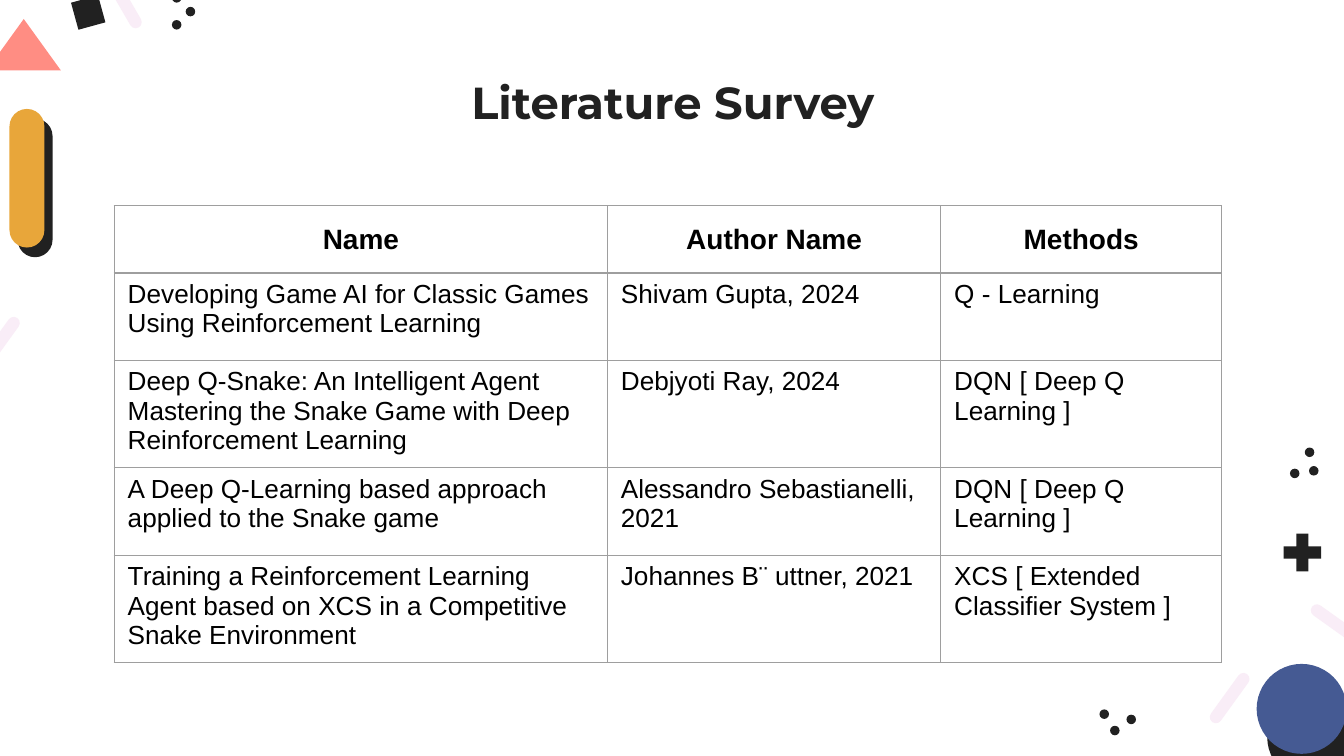
from lxml import etree
from pptx import Presentation
from pptx.dml.color import RGBColor
from pptx.enum.shapes import MSO_SHAPE
from pptx.enum.text import MSO_ANCHOR, PP_ALIGN
from pptx.oxml.ns import qn
from pptx.util import Cm, Pt

OVAL, PILL = MSO_SHAPE.OVAL, MSO_SHAPE.ROUNDED_RECTANGLE
TRIANGLE, PLUS = MSO_SHAPE.ISOSCELES_TRIANGLE, MSO_SHAPE.MATH_PLUS
SQUARE = MSO_SHAPE.RECTANGLE
CENTER, LEFT = PP_ALIGN.CENTER, PP_ALIGN.LEFT
TOP, MIDDLE = MSO_ANCHOR.TOP, MSO_ANCHOR.MIDDLE

# Content
TITLE = "Literature Survey"
SURVEY = [
    ("Name", "Author Name", "Methods"),
    ("Developing Game AI for Classic Games Using Reinforcement Learning",
     "Shivam Gupta, 2024", "Q - Learning"),
    ("Deep Q-Snake: An Intelligent Agent Mastering the Snake Game with Deep "
     "Reinforcement Learning", "Debjyoti Ray, 2024", "DQN [ Deep Q Learning ]"),
    ("A Deep Q-Learning based approach applied to the Snake game",
     "Alessandro Sebastianelli, 2021", "DQN [ Deep Q Learning ]"),
    ("Training a Reinforcement Learning Agent based on XCS in a Competitive "
     "Snake Environment", "Johannes B¨ uttner, 2021",
     "XCS [ Extended Classifier System ]"),
]
COLUMN_WIDTHS = [9.32, 6.3, 5.31]
HEADER_HEIGHT, ROW_HEIGHT = 1.27, 1.65

# Decoration in cm: left, top (and rotation)
INK, BLUE, PINK, CORAL, AMBER = "212121", "455A93", "F9EDF7", "FF8D83", "E8A63A"
GRID = "9E9E9E"
DISCS = [(23.95, 13.08, INK), (23.75, 12.55, BLUE)]
STROKES = [(24.69, 11.68, 215.5), (-0.56, 6.35, 305.8),
           (22.68, 13.08, 305.8), (1.78, -0.08, 59.9)]
DOTS = [(3.25, 0.38), (3.25, -0.13), (3.51, 0.13),
        (20.78, 13.41), (21.29, 13.51), (20.98, 13.72),
        (24.38, 8.86), (24.66, 8.46), (24.74, 8.81)]

TITLE_FONT = {"name": "Montserrat", "size": Pt(24), "bold": True}
HEADER_FONT = {"name": "Arial", "size": Pt(15), "bold": True}
BODY_FONT = {"name": "Arial", "size": Pt(14), "bold": False}


def rgb(color):
    return RGBColor.from_string(color)


def write(paragraph, text, font, color, align):
    paragraph.alignment = align
    run = paragraph.add_run()
    run.text = text
    for attribute, value in font.items():
        setattr(run.font, attribute, value)
    run.font.color.rgb = rgb(color)


def decorate(kind, left, top, width, height, color, rotation=0):
    shape = slide.shapes.add_shape(kind, Cm(left), Cm(top), Cm(width), Cm(height))
    shape.shadow.inherit = False
    shape.fill.solid()
    shape.fill.fore_color.rgb = rgb(color)
    shape.line.fill.background()
    shape.rotation = rotation
    if kind == PILL:
        shape.adjustments[0] = 0.5
    return shape


def cast_shadow(shape, color, distance, degrees):
    effects = shape._element.spPr.find(qn("a:effectLst"))
    shadow = etree.SubElement(effects, qn("a:outerShdw"), dist=str(Pt(distance)),
                              dir=str(degrees * 60000), algn="bl", rotWithShape="0")
    etree.SubElement(shadow, qn("a:srgbClr"), val=color)


def outline(cell, color, width):
    properties = cell._tc.get_or_add_tcPr()
    for position, side in enumerate(("lnL", "lnR", "lnT", "lnB")):
        line = etree.Element(qn(f"a:{side}"), w=str(Pt(width)))
        fill = etree.SubElement(line, qn("a:solidFill"))
        etree.SubElement(fill, qn("a:srgbClr"), val=color)
        properties.insert(position, line)


presentation = Presentation()
presentation.slide_width, presentation.slide_height = Cm(25.4), Cm(14.29)
slide = presentation.slides.add_slide(presentation.slide_layouts[6])

# Corner and edge decoration
for left, top, color in DISCS:
    decorate(OVAL, left, top, 1.7, 1.7, color)
for left, top, rotation in STROKES:
    decorate(PILL, left, top, 1.12, 0.23, PINK, rotation)
decorate(TRIANGLE, -0.25, 0.36, 1.4, 0.97, CORAL)
capsule = decorate(PILL, 0.18, 2.06, 0.66, 2.62, AMBER)
cast_shadow(capsule, INK, 6.8, 50)
decorate(PLUS, 24.13, 9.96, 0.97, 0.97, INK)
decorate(SQUARE, 1.4, -0.03, 0.53, 0.53, INK, 164.7)
for left, top in DOTS:
    decorate(OVAL, left, top, 0.18, 0.18, INK)

# Title
heading = slide.shapes.add_textbox(Cm(2.01), Cm(1.02), Cm(21.41), Cm(1.6)).text_frame
heading.word_wrap = True
for side in ("left", "right", "top", "bottom"):
    setattr(heading, f"margin_{side}", Cm(0.25))
heading.paragraphs[0].line_spacing = 1.15
write(heading.paragraphs[0], TITLE, TITLE_FONT, INK, CENTER)

# Survey table
row_heights = [HEADER_HEIGHT] + [ROW_HEIGHT] * (len(SURVEY) - 1)
survey = slide.shapes.add_table(
    len(SURVEY), len(COLUMN_WIDTHS), Cm(2.16), Cm(3.89),
    Cm(sum(COLUMN_WIDTHS)), Cm(sum(row_heights))).table
survey.horz_banding = False
for column, width in zip(survey.columns, COLUMN_WIDTHS):
    column.width = Cm(width)
for r, (entry, height) in enumerate(zip(SURVEY, row_heights)):
    survey.rows[r].height = Cm(height)
    font, align, anchor = ((BODY_FONT, LEFT, TOP) if r
                           else (HEADER_FONT, CENTER, MIDDLE))
    for c, text in enumerate(entry):
        cell = survey.cell(r, c)
        cell.fill.background()
        cell.vertical_anchor = anchor
        outline(cell, GRID, 0.75)
        write(cell.text_frame.paragraphs[0], text, font, "000000", align)

presentation.save("out.pptx")
